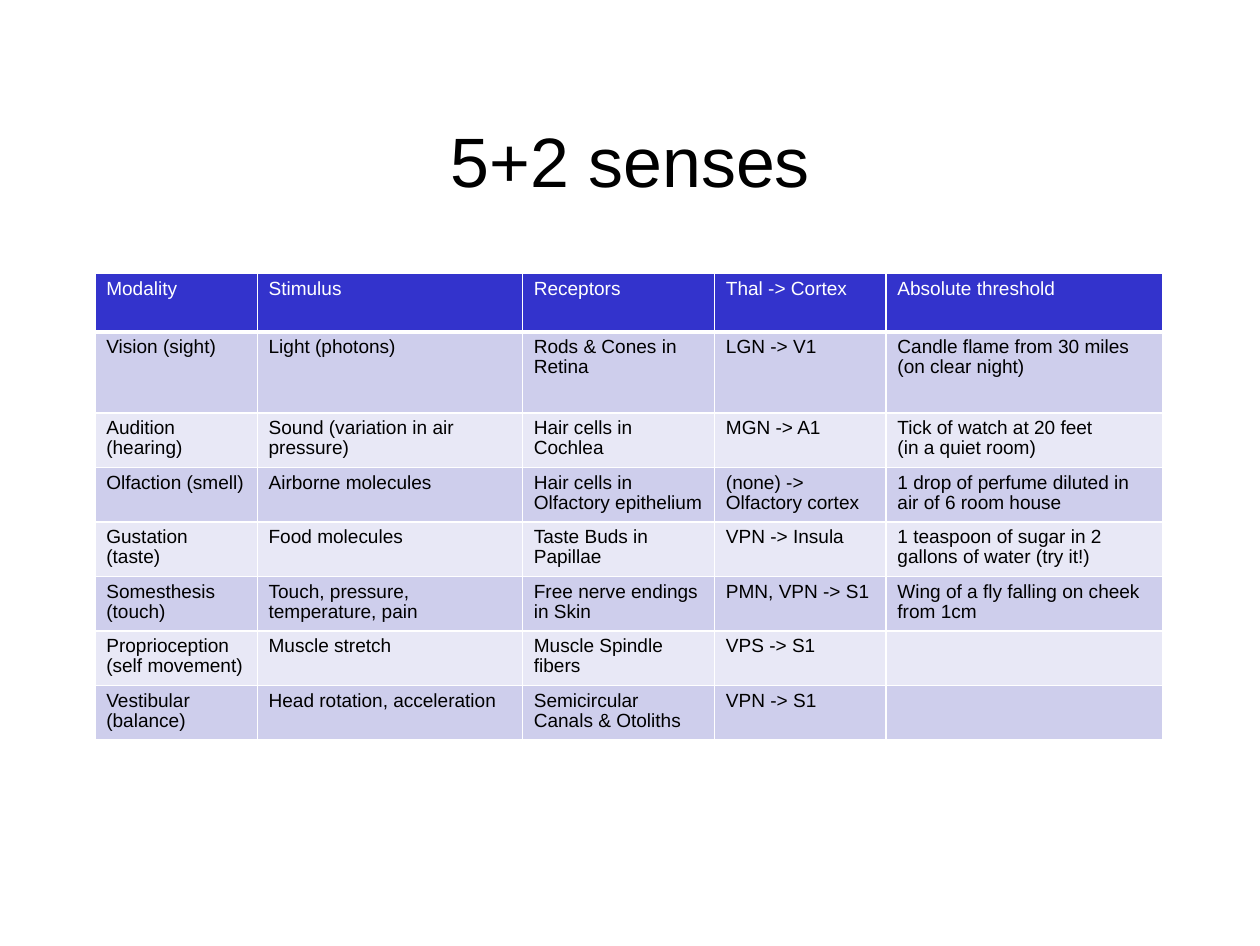
from copy import deepcopy

from lxml import etree
from pptx import Presentation
from pptx import util as u
from pptx.dml.color import RGBColor
from pptx.enum import text
from pptx.oxml.ns import qn

SENSES = [
    ["Modality", "Stimulus", "Receptors", "Thal -> Cortex", "Absolute threshold"],
    ["Vision (sight)", "Light (photons)", "Rods & Cones in Retina", "LGN -> V1",
     "Candle flame from 30 miles (on clear night)"],
    ["Audition (hearing)", "Sound (variation in air pressure)",
     "Hair cells in Cochlea", "MGN -> A1",
     "Tick of watch at 20 feet\n(in a quiet room)"],
    ["Olfaction (smell)", "Airborne molecules", "Hair cells in Olfactory epithelium",
     "(none) -> Olfactory cortex", "1 drop of perfume diluted in air of 6 room house"],
    ["Gustation (taste)", "Food molecules", "Taste Buds in Papillae",
     "VPN -> Insula", "1 teaspoon of sugar in 2 gallons of water (try it!)"],
    ["Somesthesis (touch)", "Touch, pressure, temperature, pain",
     "Free nerve endings in Skin", "PMN, VPN -> S1",
     "Wing of a fly falling on cheek from 1cm"],
    ["Proprioception (self movement)", "Muscle stretch", "Muscle Spindle fibers",
     "VPS -> S1", ""],
    ["Vestibular (balance)", "Head rotation, acceleration",
     "Semicircular Canals & Otoliths", "VPN -> S1", ""],
]


def color(value):
    """Turn a hex string into a colour."""
    return RGBColor.from_string(value)


def write(frame, words, size=12, ink="000000", font="Arial", align=None, spacing=0.94):
    """Fill a text frame with one formatted paragraph."""
    para = frame.paragraphs[0]
    para.line_spacing = spacing
    para.alignment = align
    for number, line in enumerate(words.split("\n")):
        if number:
            para.add_line_break()
        span = para.add_run()
        span.text = line
        span.font.size = u.Pt(size)
        span.font.name = font
        span.font.color.rgb = color(ink)
    for line_break in para._p.findall(qn("a:br")):
        line_break.append(deepcopy(para.runs[0].font._element))


def border(cell, side, width, ink):
    """Draw one side of a table cell."""
    edge = etree.SubElement(cell._tc.get_or_add_tcPr(), qn(f"a:ln{side}"),
                            w=str(u.Pt(width)))
    fill = etree.SubElement(edge, qn("a:solidFill"))
    etree.SubElement(fill, qn("a:srgbClr"), val=ink)


class Board:
    """Hold the style and the slide, laid out on a fine square grid."""

    step = u.Inches(0.1)
    head, bands, paper = "3333CC", ("E8E8F6", "CECEEC"), "FFFFFF"

    def __init__(self, page):
        """Keep the slide to draw on."""
        self.page = page

    def grid(self, *counts):
        """Turn counts of grid steps into lengths."""
        return [round(count * self.step) for count in counts]

    def title(self, words, *place):
        """Add the centred heading."""
        frame = self.page.shapes.add_textbox(*self.grid(*place)).text_frame
        frame.word_wrap = True
        frame.vertical_anchor = text.MSO_ANCHOR.MIDDLE
        frame.margin_left = frame.margin_right = 0
        frame.margin_top = frame.margin_bottom = 0
        write(frame, words, size=44, align=text.PP_ALIGN.CENTER)

    def table(self, rows, left, top, widths, heights):
        """Add a banded table with a dark header row."""
        place = self.grid(left, top, sum(widths), sum(heights))
        table = self.page.shapes.add_table(len(rows), len(widths), *place).table
        table.first_row = table.horz_banding = False
        for column, width in zip(table.columns, self.grid(*widths)):
            column.width = width
        for row, height in zip(table.rows, self.grid(*heights)):
            row.height = height
        for index, row in enumerate(rows):
            for column, words in enumerate(row):
                self.cell(table.cell(index, column), words, index)

    def cell(self, cell, words, index):
        """Style and fill one table cell."""
        header = index == 0
        for side in "LRTB":
            border(cell, side, 3 if header and side == "B" else 1, self.paper)
        cell.fill.solid()
        cell.fill.fore_color.rgb = color(self.head if header else self.bands[index % 2])
        if words:
            write(cell.text_frame, words, ink=self.paper if header else "000000")


def main():
    """Build the slide and save it."""
    deck = Presentation()
    deck.slide_width, deck.slide_height = u.Inches(11.02), u.Inches(8.27)
    board = Board(deck.slides.add_slide(deck.slide_layouts[6]))
    board.title("5+2 senses", 8.3, 7.4, 93.7, 13.8)
    board.table(SENSES, 8.3, 23.9, [14.2, 23.2, 16.8, 15, 24.2],
                [5.1, 7.1] + [4.7] * 6)
    deck.save("out.pptx")


if __name__ == "__main__":
    main()
